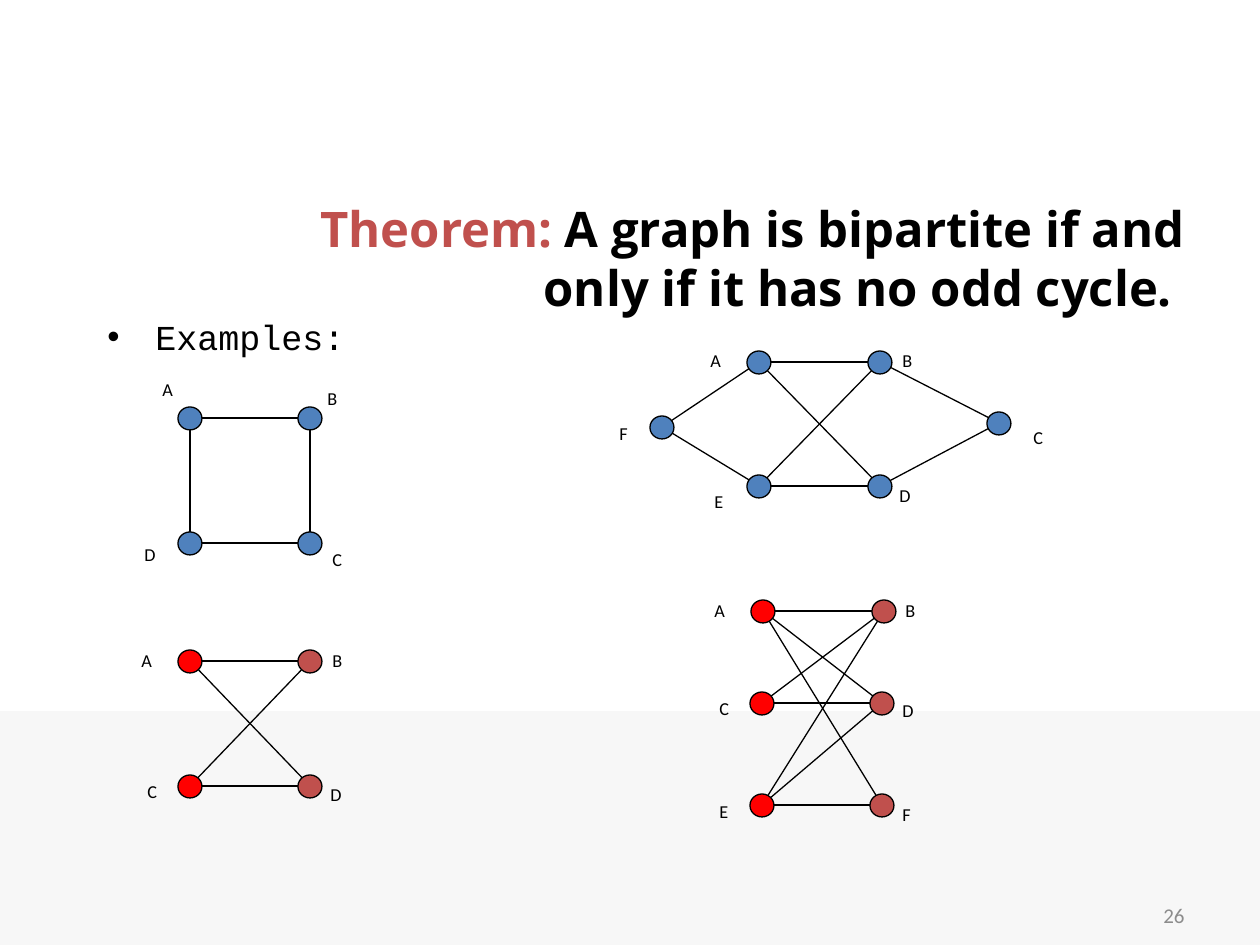
from dataclasses import dataclass
from typing import Any

from lxml.etree import SubElement
from pptx import Presentation
from pptx.dml.color import RGBColor
from pptx.enum.shapes import MSO_CONNECTOR, MSO_SHAPE
from pptx.enum.text import MSO_ANCHOR, PP_ALIGN
from pptx.oxml.ns import qn
from pptx.util import Pt

EMU_PER_PX = 914400 // 126
BLACK = RGBColor(0x00, 0x00, 0x00)
GREY = RGBColor(0x8C, 0x8C, 0x8C)
PALE = RGBColor(0xF7, 0xF7, 0xF7)
BLUE = RGBColor(0x4F, 0x81, 0xBD)
RED = RGBColor(0xFF, 0x00, 0x00)
BRICK = RGBColor(0xC0, 0x50, 0x4D)

# Each vertex: name -> (centre x, centre y, label left, label top, colour)
SQUARE = {
    "A": (190, 418, 150, 354, BLUE),
    "B": (310, 418, 315, 363, BLUE),
    "D": (190, 543, 132, 519, BLUE),
    "C": (310, 543, 320, 524, BLUE),
}
SQUARE_SPLIT = {
    "A": (190, 661, 129, 625, RED),
    "B": (310, 661, 320, 625, BRICK),
    "C": (190, 786, 135, 756, RED),
    "D": (310, 786, 318, 759, BRICK),
}
HEXAGON = {
    "A": (759, 362, 698, 325, BLUE),
    "B": (880, 362, 890, 325, BLUE),
    "E": (759, 486, 702, 466, BLUE),
    "D": (880, 486, 887, 460, BLUE),
    "F": (662, 427, 607, 398, BLUE),
    "C": (999, 423, 1021, 402, BLUE),
}
HEXAGON_SPLIT = {
    "A": (763, 611, 702, 575, RED),
    "B": (884, 611, 893, 575, BRICK),
    "C": (762, 703, 707, 673, RED),
    "D": (882, 703, 890, 675, BRICK),
    "E": (762, 805, 707, 776, RED),
    "F": (882, 805, 890, 779, BRICK),
}
GRAPHS = [
    (SQUARE, "AB DC AD BC"),
    (SQUARE_SPLIT, "AB CD AD CB"),
    (HEXAGON, "AB ED AD EB DC EF FA BC"),
    (HEXAGON_SPLIT, "AB CD AF EB EF AD CB ED"),
]


def px(*lengths):
    return [length * EMU_PER_PX for length in lengths]


@dataclass
class GraphSlide:
    slide: Any
    label_font: str = "Calibri"
    line_width: float = 0.75
    node_width: int = 24
    node_height: int = 23

    def shape(self, kind, box, fill, line=None):
        shape = self.slide.shapes.add_shape(kind, *px(*box))
        shape.shadow.inherit = False
        shape.fill.solid()
        shape.fill.fore_color.rgb = fill
        if line is None:
            shape.line.fill.background()
        else:
            shape.line.color.rgb = line
            shape.line.width = Pt(self.line_width)

    def text(self, box, runs, size, font, align=PP_ALIGN.LEFT,
             anchor=MSO_ANCHOR.TOP, bold=False, bullet_indent=0):
        """Add one paragraph made of (text, colour) runs and return it."""
        frame = self.slide.shapes.add_textbox(*px(*box)).text_frame
        frame.word_wrap = True
        frame.vertical_anchor = anchor
        paragraph = frame.paragraphs[0]
        paragraph.alignment = align
        if bullet_indent:
            indent, = px(bullet_indent)
            properties = paragraph._p.get_or_add_pPr()
            properties.set("marL", str(indent))
            properties.set("indent", str(-indent))
            SubElement(properties, qn("a:buFont")).set("typeface", "Arial")
            SubElement(properties, qn("a:buChar")).set("char", "•")
        for words, colour in runs:
            run = paragraph.add_run()
            run.text = words
            run.font.size = Pt(size)
            run.font.name = font
            run.font.bold = bold
            run.font.color.rgb = colour
        return paragraph

    def edge(self, start, end):
        connector = self.slide.shapes.add_connector(
            MSO_CONNECTOR.STRAIGHT, *px(*start, *end))
        connector.line.color.rgb = BLACK
        connector.line.width = Pt(self.line_width)
        SubElement(connector._element.spPr, qn("a:effectLst"))

    def node(self, x, y, colour):
        box = (x - self.node_width // 2, y - self.node_height // 2,
               self.node_width, self.node_height)
        self.shape(MSO_SHAPE.OVAL, box, colour, BLACK)

    def label(self, name, left, top):
        """Add a vertex name, lowered as a subscript."""
        paragraph = self.text((left, top, 55, 38), [(name, BLACK)], 18,
                              self.label_font)
        paragraph.runs[0].font._element.set("baseline", "-16000")

    def graph(self, vertices, edges):
        for start, end in edges.split():
            self.edge(vertices[start][:2], vertices[end][:2])
        for name, (x, y, left, top, colour) in vertices.items():
            self.node(x, y, colour)
            self.label(name, left, top)


def main():
    presentation = Presentation()
    presentation.slide_width, presentation.slide_height = px(1260, 945)
    page = GraphSlide(
        presentation.slides.add_slide(presentation.slide_layouts[6]))

    page.shape(MSO_SHAPE.RECTANGLE, (0, 711, 1260, 234), PALE)
    page.text((903, 890, 294, 50), [("26", GREY)], 12, "Calibri",
              PP_ALIGN.RIGHT, MSO_ANCHOR.MIDDLE)
    theorem = [("Theorem:", BRICK),
               (" A graph is bipartite if and only if it has no odd cycle. ",
                BLACK)]
    page.text((223, 178, 974, 158), theorem, 28, "Open Sans",
              PP_ALIGN.RIGHT, MSO_ANCHOR.MIDDLE, bold=True)
    page.text((95, 309, 1071, 69), [("Examples:", BLACK)], 20, "Courier New",
              bullet_indent=48)
    for vertices, edges in GRAPHS:
        page.graph(vertices, edges)

    presentation.save("out.pptx")


if __name__ == "__main__":
    main()
